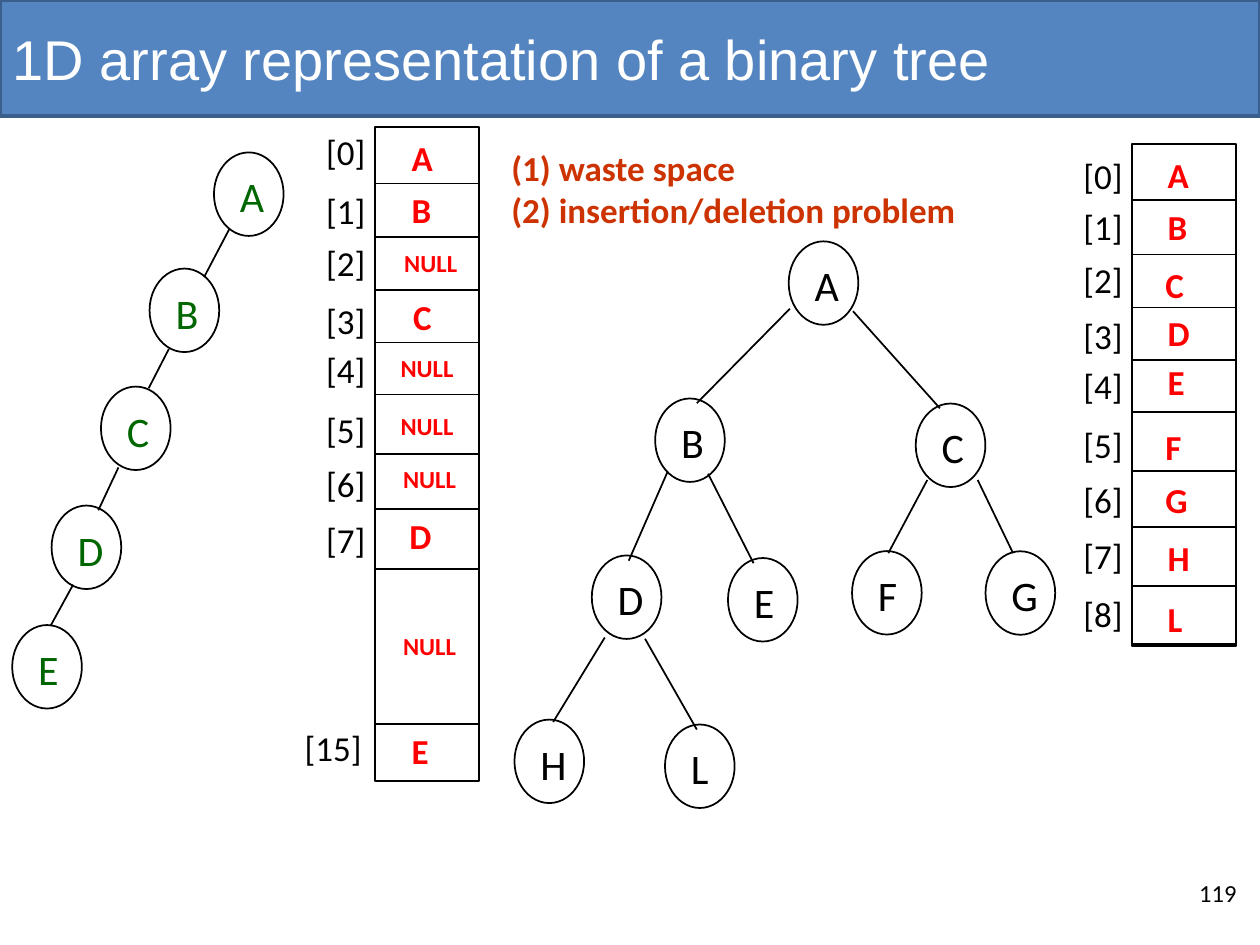
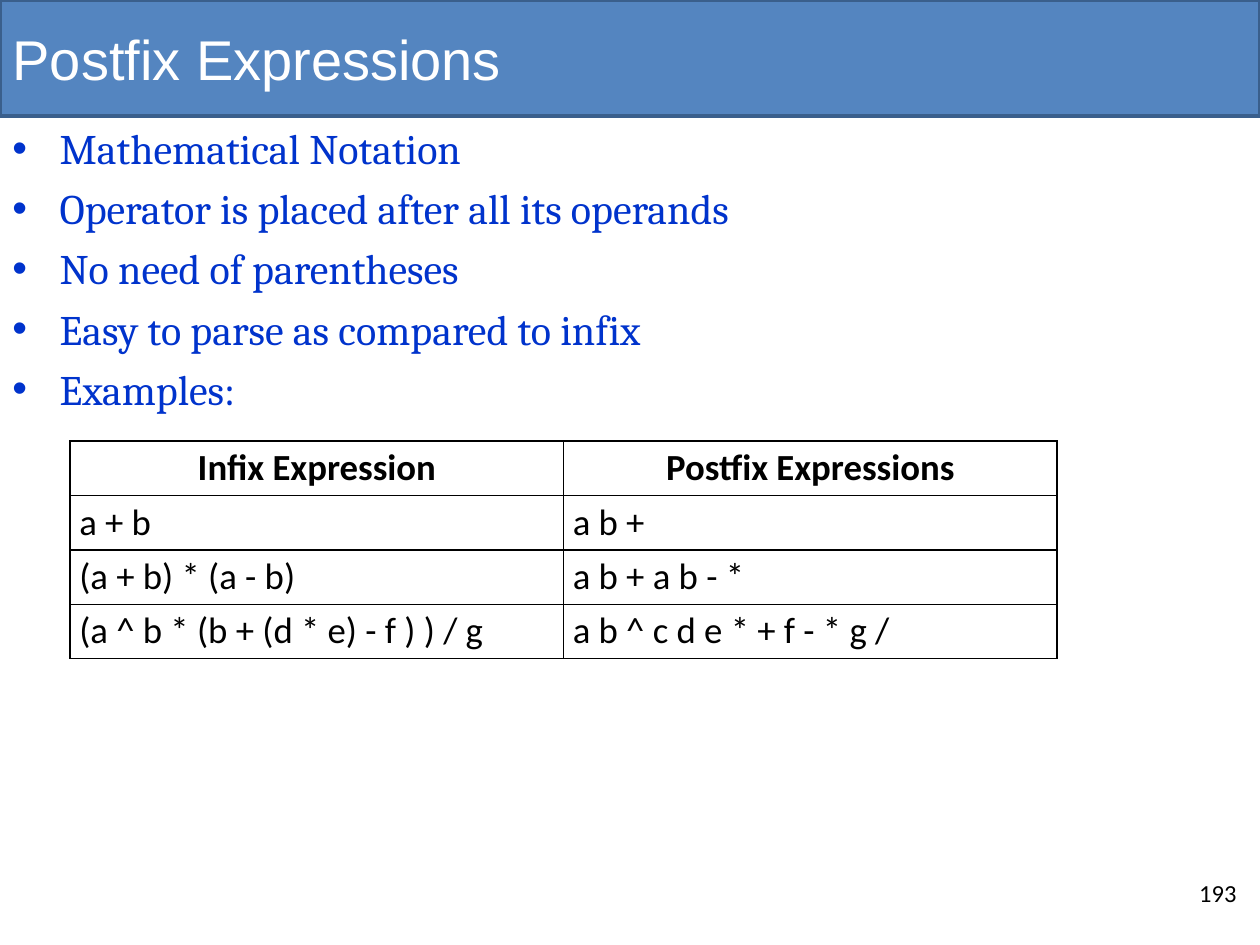
"""Build two slides: trees stored as arrays, and postfix expressions."""
from dataclasses import dataclass

from lxml import etree
from pptx import Presentation
from pptx.dml.color import RGBColor
from pptx.enum.shapes import MSO_CONNECTOR, MSO_SHAPE
from pptx.enum.text import MSO_ANCHOR, PP_ALIGN
from pptx.oxml.ns import qn
from pptx.util import Pt

RECT, OVAL = MSO_SHAPE.RECTANGLE, MSO_SHAPE.OVAL
LINE = MSO_CONNECTOR.STRAIGHT
TOP, MIDDLE = MSO_ANCHOR.TOP, MSO_ANCHOR.MIDDLE
LEFT, CENTER = PP_ALIGN.LEFT, PP_ALIGN.CENTER


@dataclass(frozen=True)
class Theme:
    """Colours, fonts and type sizes."""
    band: str = "5485C0"
    edge: str = "3A5F8C"
    white: str = "FFFFFF"
    ink: str = "000000"
    green: str = "006600"
    red: str = "FF0000"
    rust: str = "CC3300"
    blue: str = "0033CC"
    head: str = "Arial"
    main: str = "Calibri"
    serif: str = "Cambria"
    title: int = 32
    node: int = 24
    cell: int = 20
    grid: int = 21
    small: int = 14


T = Theme()
WIDE, HIGH, BAND = 720, 540, 66.4
NODE = (39.8, 47.7)

CHAIN = {
    "nodes": [("A", 122.3, 87.1), ("B", 85.5, 153.5), ("C", 57.7, 220.9),
              ("D", 29.5, 288.9), ("E", 7, 357.2)],
    "edges": [(131, 131, 116.6, 158.4), (96.5, 199.4, 85, 221.8),
              (67.7, 267.1, 56.2, 291.6), (41.8, 334.1, 28.8, 357.8)],
    "color": T.green,
}
TREE = {
    "nodes": [("A", 450.7, 137.9), ("B", 374.4, 227.7), ("C", 523.3, 230.6),
              ("D", 338.2, 317.4), ("E", 416, 318.9), ("F", 486.9, 314.9),
              ("G", 563.2, 315), ("H", 294, 411.2), ("L", 380, 414)],
    "edges": [(451.4, 176.4, 398.2, 230.4), (487.4, 177.8, 537.1, 233.3),
              (381.6, 269.3, 359.3, 320.4), (404.6, 270.7, 430.6, 321.8),
              (529.9, 274.3, 507.6, 316.1), (558.7, 274.3, 578.9, 316.1),
              (345.6, 364.3, 316.1, 412.6), (368.6, 365, 398.2, 416.9)],
    "color": T.ink,
}
SPARSE = {
    "box": (214.3, 72.6, 59.6, 373.8),
    "rules": [104.9, 135.4, 165.7, 195.8, 225.5, 259.4, 291, 325.2, 413.9],
    "labels": [("[0]", 179.3, 71.3), ("[1]", 179.3, 104.9),
               ("[2]", 179.3, 134.6), ("[3]", 179.3, 167.8),
               ("[4]", 179.3, 195.8), ("[5]", 179.3, 229.7),
               ("[6]", 179.3, 260.6), ("[7]", 179.3, 293),
               ("[15]", 167, 411.8)],
    "values": [("A", 228.2, 74.2), ("B", 228.2, 104.4),
               ("NULL", 223.9, 138.2), ("C", 229, 165.6),
               ("NULL", 221.8, 198), ("NULL", 221.8, 231.1),
               ("NULL", 223.2, 261.4), ("D", 226.8, 290.2),
               ("NULL", 223.2, 357.1), ("E", 228.2, 413.3)],
}
DENSE = {
    "box": (646.8, 82.4, 59.6, 286.6),
    "rules": [114.5, 145.4, 175.7, 205.9, 235.4, 269.3, 301, 335, 367.9],
    "labels": [(f"[{i}]", 612, y) for i, y in enumerate(
        [85, 113.8, 144, 176.4, 204.5, 238.3, 270, 301.7, 334.8])],
    "values": [("A", 660.2, 84.2), ("B", 660.2, 113.8), ("C", 658.8, 146.9),
               ("D", 660.2, 174.2), ("E", 660.2, 202.3), ("F", 658.8, 239.8),
               ("G", 658.8, 270), ("H", 660.2, 303.1), ("L", 660.2, 337.7)],
}
FLAWS = ["(1) waste space", "(2) insertion/deletion problem"]
POINTS = ["Mathematical Notation", "Operator is placed after all its operands",
          "No need of parentheses", "Easy to parse as compared to infix",
          "Examples:"]
PAIRS = [("Infix Expression", "Postfix Expressions"),
         ("a + b", "a b +"),
         ("(a + b) * (a - b)", "a b + a b - *"),
         ("(a ^ b * (b + (d * e) - f ) ) / g", "a b ^ c d e * + f - * g /")]


def rgb(code):
    """Turn a hex code into a colour."""
    return RGBColor.from_string(code)


def style(frame, size, color, face=T.main, bold=False, align=LEFT):
    """Format every run of a text frame."""
    for para in frame.paragraphs:
        para.alignment = align
        for run in para.runs:
            font = run.font
            font.size, font.name, font.bold = Pt(size), face, bold
            font.color.rgb = rgb(color)


def inset(part, left, top, right, low):
    """Set the four margins of a text frame or a cell."""
    part.margin_left, part.margin_top = Pt(left), Pt(top)
    part.margin_right, part.margin_bottom = Pt(right), Pt(low)


def add_text(slide, lines, box, size, color, **look):
    """Add a wrapped text box and return its frame."""
    frame = slide.shapes.add_textbox(*map(Pt, box)).text_frame
    frame.word_wrap = True
    frame.text = "\n".join(lines)
    style(frame, size, color, **look)
    return frame


def add_form(slide, kind, box, fill=None, edge=T.ink, width=1):
    """Add a plain outlined shape."""
    form = slide.shapes.add_shape(kind, *map(Pt, box))
    form.shadow.inherit = False
    if fill:
        form.fill.solid()
        form.fill.fore_color.rgb = rgb(fill)
    else:
        form.fill.background()
    form.line.color.rgb = rgb(edge)
    form.line.width = Pt(width)
    return form


def add_line(slide, ends):
    """Add a thin straight line."""
    line = slide.shapes.add_connector(LINE, *map(Pt, ends))
    line.line.color.rgb = rgb(T.ink)
    line.line.width = Pt(1)
    etree.SubElement(line._element.spPr, qn("a:effectLst"))


def add_band(slide):
    """Put the title band on the layout behind the slide."""
    band = add_form(slide, RECT, (0, 0, WIDE, BAND), T.band, T.edge, 2)
    slide.slide_layout.shapes._spTree.insert(2, band._element)


def add_slide(deck, title, page):
    """Add a slide with its title and page number."""
    slide = deck.slides.add_slide(deck.slide_layouts[5])
    head = slide.shapes.title
    head.left, head.top, head.width, head.height = map(Pt, (0, 0, WIDE, BAND))
    head.text_frame.text = title
    head.text_frame.vertical_anchor = MIDDLE
    style(head.text_frame, T.title, T.white, T.head)
    add_text(slide, [page], (678.2, 498.2, 36, 28.8), T.small, T.ink)
    return slide


def add_tree(slide, tree):
    """Draw the nodes and edges of a tree."""
    for name, x, y in tree["nodes"]:
        frame = add_form(slide, OVAL, (x, y, *NODE)).text_frame
        frame.word_wrap = True
        frame.vertical_anchor = TOP
        inset(frame, 9, 3.6, 0, 0)
        frame.text = name
        style(frame, T.node, tree["color"])
    for ends in tree["edges"]:
        add_line(slide, ends)


def add_array(slide, array):
    """Draw an array with its indices and values."""
    left, _, width, _ = array["box"]
    add_form(slide, RECT, array["box"])
    for y in array["rules"]:
        add_line(slide, (left, y, left + width, y))
    for text, x, y in array["labels"]:
        room = 46.8 if len(text) == 3 else 59.8
        add_text(slide, [text], (x, y, room, 31.7), T.cell, T.ink)
    for text, x, y in array["values"]:
        size, high = (T.small, 24.5) if text == "NULL" else (T.cell, 31.7)
        add_text(slide, [text], (x, y, 46.8, high), size, T.red, bold=True)


def add_points(slide):
    """Add the bulleted list."""
    frame = add_text(slide, POINTS, (0, BAND, 643.7, 347.8), T.node, T.blue,
                     face=T.serif)
    for i, para in enumerate(frame.paragraphs):
        props = para._p.get_or_add_pPr()
        props.set("marL", str(Pt(27)))
        props.set("indent", str(-Pt(27)))
        etree.SubElement(props, qn("a:buFont"), typeface=T.head)
        etree.SubElement(props, qn("a:buChar"), char="•")
        if i:
            para.space_before = Pt(5.6)


def add_rim(cell):
    """Draw the four borders of a cell."""
    props = cell._tc.get_or_add_tcPr()
    for i, side in enumerate(("lnL", "lnR", "lnT", "lnB")):
        line = etree.Element(qn(f"a:{side}"), w=str(Pt(1)))
        fill = etree.SubElement(line, qn("a:solidFill"))
        etree.SubElement(fill, qn("a:srgbClr"), val=T.ink)
        props.insert(i, line)


def add_grid(slide):
    """Add the table of expressions."""
    box = map(Pt, (40.1, 252, 564, 124.4))
    grid = slide.shapes.add_table(len(PAIRS), 2, *box).table
    grid.first_row = grid.horz_banding = False
    for r, pair in enumerate(PAIRS):
        for c, text in enumerate(pair):
            cell = grid.cell(r, c)
            cell.text_frame.text = text
            inset(cell, 5.2, 2.6, 5.2, 2.6)
            cell.fill.solid()
            cell.fill.fore_color.rgb = rgb(T.white)
            style(cell.text_frame, T.grid, T.ink, bold=r == 0,
                  align=LEFT if r else CENTER)
            add_rim(cell)


def main():
    """Build and save the deck."""
    deck = Presentation()
    deck.slide_width, deck.slide_height = Pt(WIDE), Pt(HIGH)

    slide = add_slide(deck, "1D array representation of a binary tree", "119")
    add_band(slide)
    add_tree(slide, CHAIN)
    add_tree(slide, TREE)
    add_text(slide, FLAWS, (285.1, 79.9, 282.2, 55.4), T.cell, T.rust,
             bold=True)
    add_array(slide, SPARSE)
    add_array(slide, DENSE)

    slide = add_slide(deck, "Postfix Expressions", "193")
    add_points(slide)
    add_grid(slide)
    deck.save("out.pptx")


if __name__ == "__main__":
    main()
